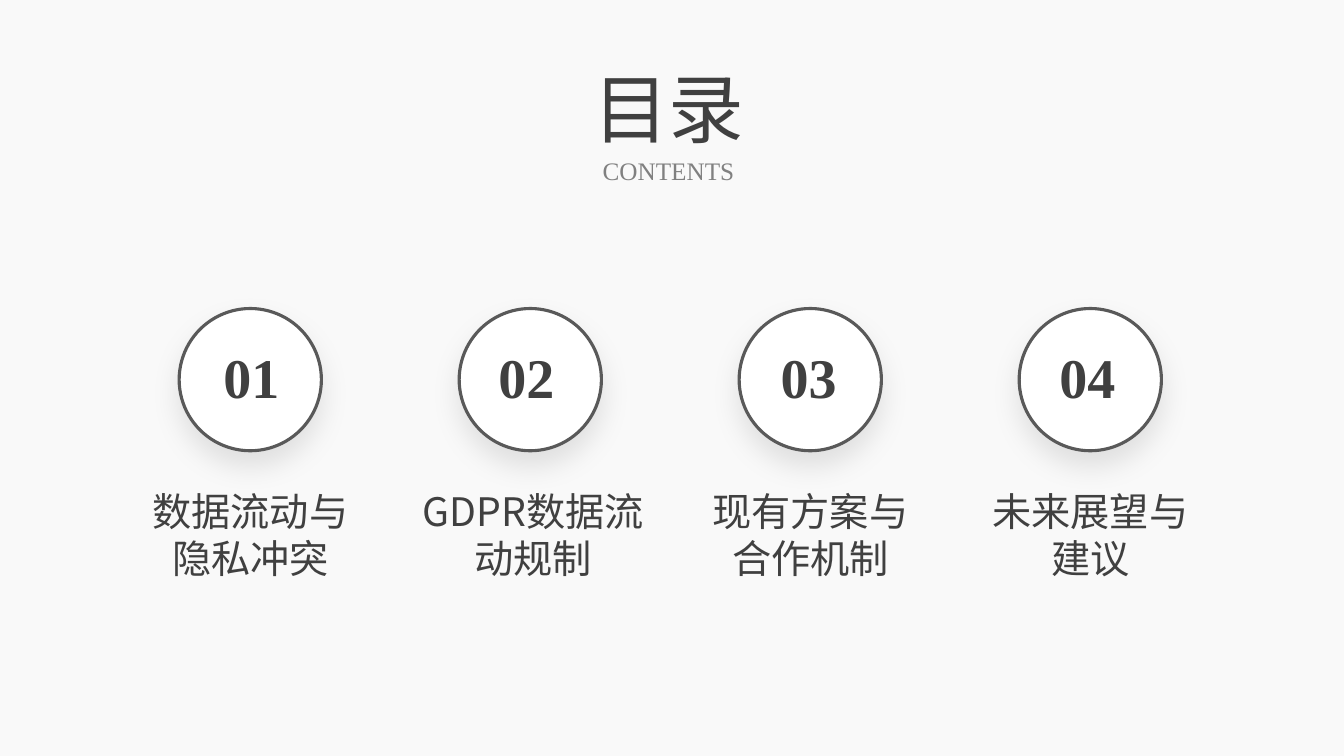
import pptx
import pptx.dml.color
import pptx.enum.shapes
import pptx.enum.text
import pptx.oxml
import pptx.oxml.ns
import pptx.util

RGBColor = pptx.dml.color.RGBColor
Align = pptx.enum.text.PP_ALIGN

BACKGROUND = RGBColor(0xF9, 0xF9, 0xF9)
WHITE = RGBColor(0xFF, 0xFF, 0xFF)
INK = RGBColor(0x40, 0x40, 0x40)
RING = RGBColor(0x59, 0x59, 0x59)
GRAY = RGBColor(0x80, 0x80, 0x80)

CHINESE = "Noto Sans CJK SC"
LATIN = "Times New Roman"

# The page is a grid of 48 by 27 square cells.
WIDTH, HEIGHT = pptx.util.Inches(13.333), pptx.util.Inches(7.5)
COLUMN, ROW = WIDTH / 48, HEIGHT / 27

FIRST_CENTRE, PITCH = 8.94, 10
CIRCLE_SIZE, CIRCLE_TOP = 5.08, 11.02
NUMBER_SIZE, NUMBER_TOP = 2.75, 12.06
LABEL_TOP, LABEL_HEIGHT = 17.21, 3.74

# number, shift of its centre, label, shift of its centre, label width
CHAPTERS = [
    ("01", 0.06, "数据流动与隐私冲突", 0, 8.78),
    ("02", -0.12, "GDPR数据流动规制", 0.1, 9.11),
    ("03", -0.04, "现有方案与合作机制", 0, 8.24),
    ("04", -0.08, "未来展望与建议", 0, 7.92),
]


def place(left, top, width, height):
    """Turn grid cells into slide lengths."""
    return (round(left * COLUMN), round(top * ROW),
            round(width * COLUMN), round(height * ROW))


def add_text(shapes, text, area, *, size, font, color=INK, bold=False,
             align=Align.LEFT, wrap=True):
    box = shapes.add_textbox(*place(*area))
    frame = box.text_frame
    frame.word_wrap = wrap
    frame.auto_size = pptx.enum.text.MSO_AUTO_SIZE.SHAPE_TO_FIT_TEXT
    para = frame.paragraphs[0]
    para.alignment = align
    span = para.add_run()
    span.text = text
    span.font.size = pptx.util.Pt(size)
    span.font.name = font
    span.font.bold = bold
    span.font.color.rgb = color
    east_asian = pptx.oxml.parse_xml(
        f'<a:ea {pptx.oxml.ns.nsdecls("a")} typeface="{font}"/>')
    span.font._element.find(pptx.oxml.ns.qn("a:latin")).addnext(east_asian)


def add_soft_shadow(shape, blur, distance, opacity):
    """Drop a black shadow straight down; lengths are points."""
    shape.shadow.inherit = False
    effects = shape._element.spPr.find(pptx.oxml.ns.qn("a:effectLst"))
    effects.append(pptx.oxml.parse_xml(
        f'<a:outerShdw {pptx.oxml.ns.nsdecls("a")} '
        f'blurRad="{pptx.util.Pt(blur)}" dist="{pptx.util.Pt(distance)}" '
        f'dir="5400000" algn="t" rotWithShape="0"><a:srgbClr val="000000">'
        f'<a:alpha val="{opacity * 1000}"/></a:srgbClr></a:outerShdw>'))


def add_circle(shapes, centre):
    circle = shapes.add_shape(
        pptx.enum.shapes.MSO_SHAPE.OVAL,
        *place(centre - CIRCLE_SIZE / 2, CIRCLE_TOP, CIRCLE_SIZE, CIRCLE_SIZE))
    circle.fill.solid()
    circle.fill.fore_color.rgb = WHITE
    circle.line.color.rgb = RING
    circle.line.width = pptx.util.Pt(2.25)
    add_soft_shadow(circle, blur=20, distance=10, opacity=10)


def add_chapter(page, centre, number, number_shift, label, label_shift, width):
    shapes = page.shapes.add_group_shape().shapes
    add_circle(shapes, centre)
    add_text(shapes, number,
             (centre + number_shift - NUMBER_SIZE / 2, NUMBER_TOP,
              NUMBER_SIZE, NUMBER_SIZE),
             size=40, font=LATIN, bold=True, wrap=False)
    add_text(shapes, label,
             (centre + label_shift - width / 2, LABEL_TOP, width, LABEL_HEIGHT),
             size=28, font=CHINESE, align=Align.CENTER)


def main():
    deck = pptx.Presentation()
    deck.slide_width, deck.slide_height = WIDTH, HEIGHT
    page = deck.slides.add_slide(deck.slide_layouts[6])
    page.background.fill.solid()
    page.background.fill.fore_color.rgb = BACKGROUND

    add_text(page.shapes, "目录", (20.84, 2.05, 6.23, 3.64),
             size=54, font=CHINESE, align=Align.JUSTIFY)
    add_text(page.shapes, "CONTENTS", (21.17, 5.36, 5.62, 1.44),
             size=18, font=LATIN, color=GRAY, align=Align.JUSTIFY)
    for index, chapter in enumerate(CHAPTERS):
        add_chapter(page, FIRST_CENTRE + index * PITCH, *chapter)

    deck.save("out.pptx")


if __name__ == "__main__":
    main()
